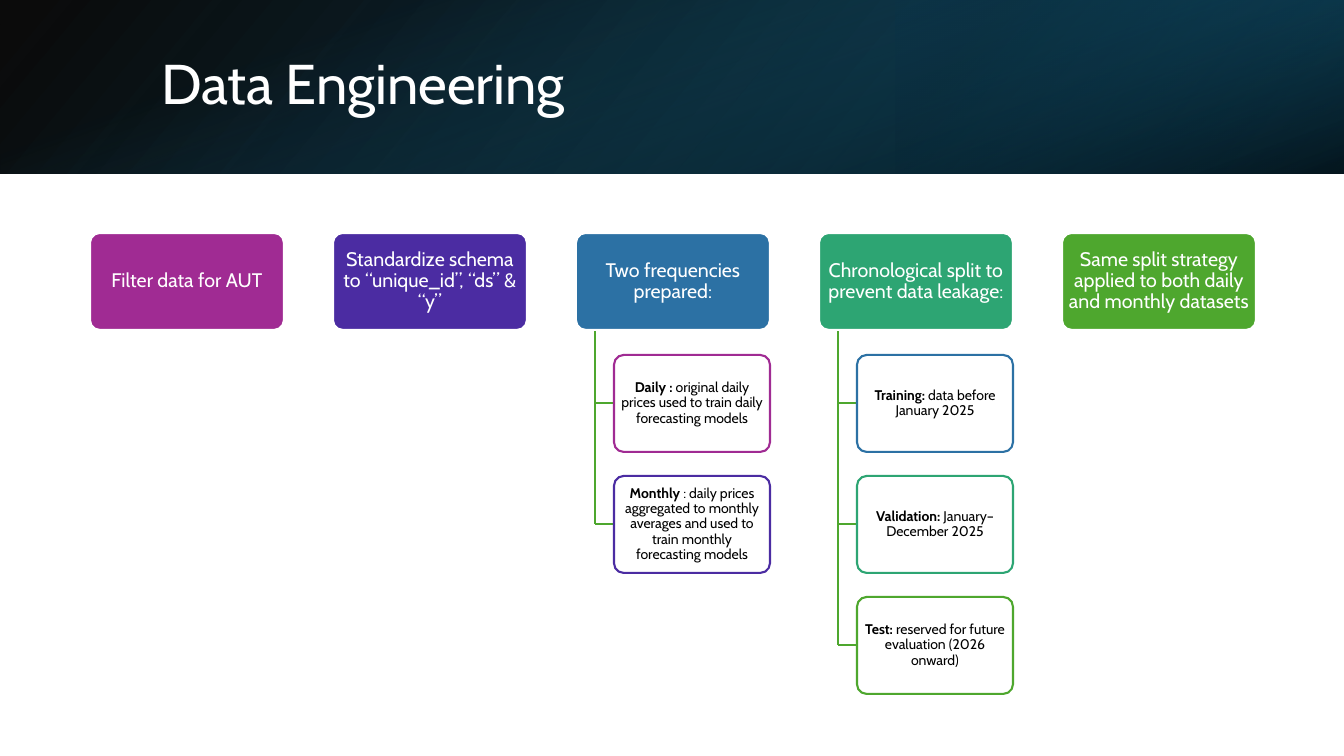
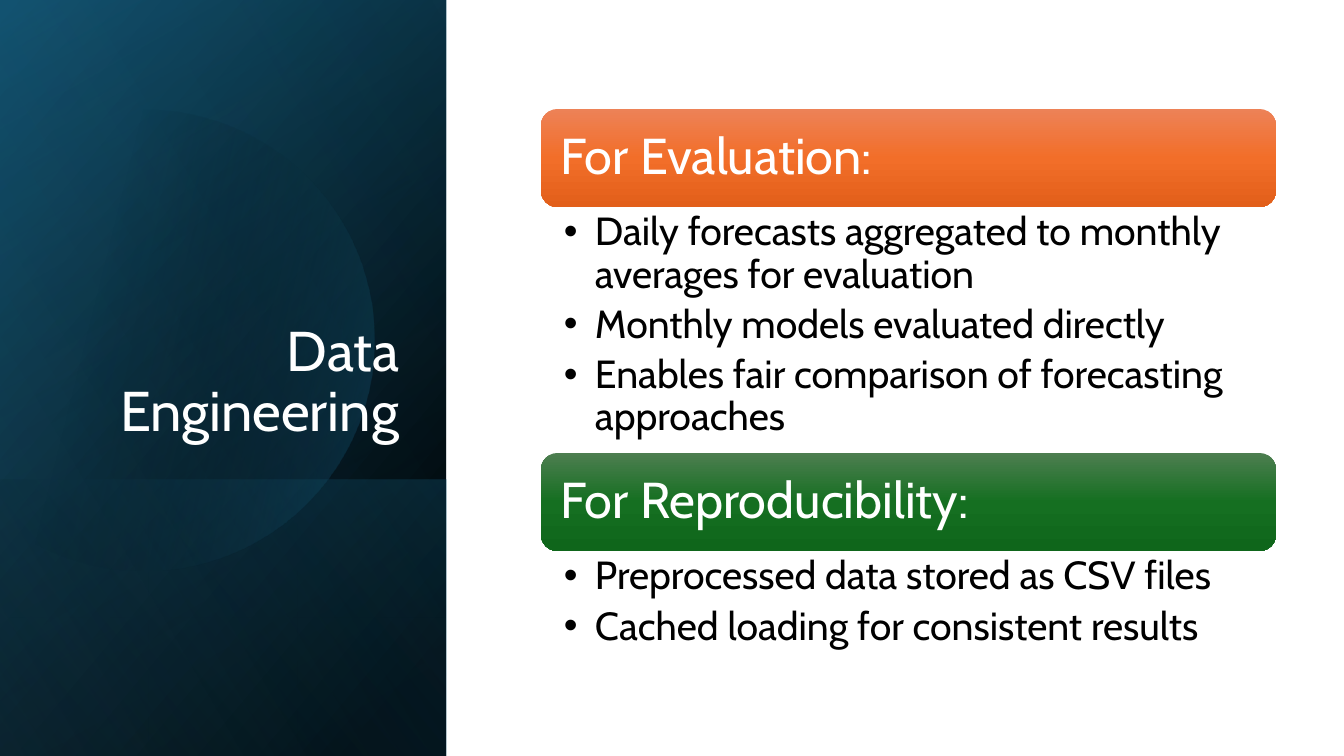
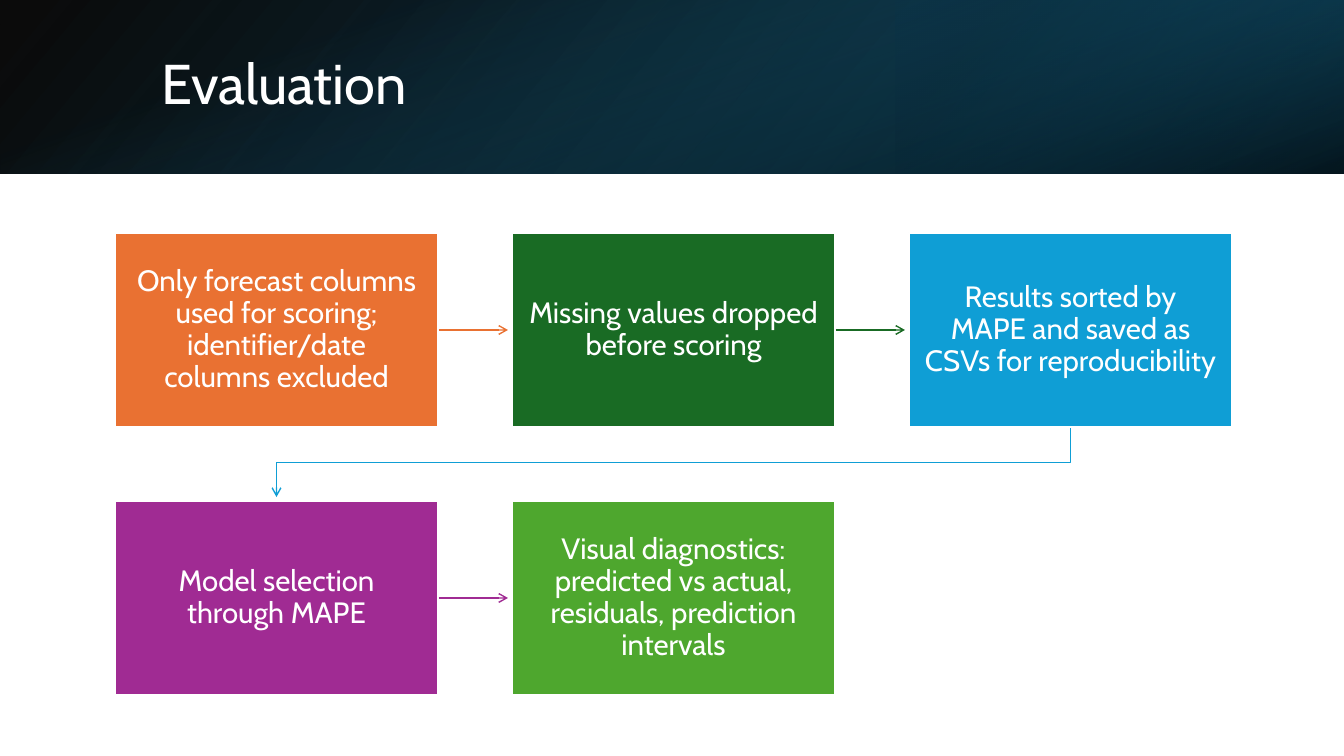
from math import acos, cos, pi, sin

from pptx import Presentation
from pptx.dml.color import RGBColor
from pptx.enum.shapes import MSO_CONNECTOR, MSO_SHAPE
from pptx.enum.text import MSO_ANCHOR, MSO_AUTO_SIZE, PP_ALIGN
from pptx.oxml import parse_xml
from pptx.oxml.ns import nsdecls, qn
from pptx.util import Emu, Pt

FONT = "Cabin"
WHITE, BLACK = "FFFFFF", "000000"
PURPLE, VIOLET, BLUE, TEAL, GREEN = "A02B93", "4B2CA2", "2C71A4", "2DA573", "4EA72E"
ORANGE, FOREST, SKY = "E97132", "196B24", "0F9ED5"
NAVY, OCEAN = "104862", "156082"
SLIDE_WIDTH, SLIDE_HEIGHT = 1344, 756
BAND_HEIGHT, PANEL_WIDTH = 174, 446
TITLE_ONLY, TWO_CONTENT = 5, 3
LINE_SPACING = 0.9


def px(length):
    return Emu(round(length * 914400 / 100.8))


def color(hex_value):
    return RGBColor.from_string(hex_value)


class Deck:
    def __init__(self):
        self.presentation = Presentation()
        self.presentation.slide_width = px(SLIDE_WIDTH)
        self.presentation.slide_height = px(SLIDE_HEIGHT)
        self.slide = None

    def add_slide(self, layout):
        layouts = self.presentation.slide_layouts
        self.slide = self.presentation.slides.add_slide(layouts[layout])

    def send_to_back(self, shape, position):
        self.slide.shapes._spTree.insert(2 + position, shape._element)

    def fill_gradient(self, shape, stops, angle):
        """Stops are (position %, colour, opacity %)."""
        stop_xml = "".join(
            f'<a:gs pos="{position * 1000}"><a:srgbClr val="{hex_value}">'
            f'<a:alpha val="{opacity * 1000}"/></a:srgbClr></a:gs>'
            for position, hex_value, opacity in stops)
        gradient = parse_xml(
            f'<a:gradFill {nsdecls("a")}><a:gsLst>{stop_xml}</a:gsLst>'
            f'<a:lin ang="{angle * 60000}" scaled="0"/></a:gradFill>')
        shape.fill.background()
        properties = shape._element.spPr
        properties.replace(properties.find(qn("a:noFill")), gradient)

    def shape(self, kind, box, fill=None, line=None):
        shape = self.slide.shapes.add_shape(kind, *map(px, box))
        shape.shadow.inherit = False
        if fill:
            shape.fill.solid()
            shape.fill.fore_color.rgb = color(fill)
        if line:
            shape.line.color.rgb = color(line)
            shape.line.width = Pt(1.5)
        else:
            shape.line.fill.background()
        return shape

    def gradient_layer(self, box, stops, angle, rotation=0, flip=True):
        """Box is the visible area; a quarter turn swaps its sides."""
        left, top, width, height = box
        if rotation == 90:
            left, top = left + (width - height) / 2, top + (height - width) / 2
            width, height = height, width
        layer = self.shape(MSO_SHAPE.RECTANGLE, (left, top, width, height))
        layer.rotation = rotation
        if flip:
            layer._element.spPr.xfrm.set("flipH", "1")
        self.fill_gradient(layer, stops, angle)
        return layer

    def clipped_disc(self, center_x, center_y, radius, stops, angle):
        """Disc cut off at the left slide edge."""
        steps = 120
        limit = acos(-center_x / radius)
        turns = [limit * (2 * step / steps - 1) for step in range(steps + 1)]
        points = [(px(center_x + radius * cos(turn)), px(center_y + radius * sin(turn)))
                  for turn in turns]
        builder = self.slide.shapes.build_freeform(*points[0], scale=1.0)
        builder.add_line_segments(points[1:], close=True)
        disc = builder.convert_to_shape()
        disc.shadow.inherit = False
        disc.line.fill.background()
        self.fill_gradient(disc, stops, angle)
        return disc

    def frame(self, shape, margins, anchor):
        text_frame = shape.text_frame
        text_frame.word_wrap = True
        text_frame.auto_size = MSO_AUTO_SIZE.NONE
        text_frame.vertical_anchor = anchor
        (text_frame.margin_left, text_frame.margin_top,
         text_frame.margin_right, text_frame.margin_bottom) = map(px, margins)
        return text_frame

    def format(self, paragraph, size, hex_value, align=PP_ALIGN.LEFT):
        paragraph.alignment = align
        paragraph.line_spacing = LINE_SPACING
        paragraph.space_before = Pt(0)
        for run in paragraph.runs:
            run.font.name = FONT
            run.font.size = Pt(size)
            run.font.color.rgb = color(hex_value)

    def place(self, placeholder, box):
        placeholder.left, placeholder.top, placeholder.width, placeholder.height = map(px, box)

    def title(self, text, box, anchor=MSO_ANCHOR.MIDDLE, align=PP_ALIGN.LEFT):
        title = self.slide.shapes.title
        self.place(title, box)
        text_frame = self.frame(title, (10, 5, 10, 5), anchor)
        text_frame.text = text
        self.format(text_frame.paragraphs[0], 40, WHITE, align)

    def text_box_shape(self, kind, box, text, size, margins, fill, line=WHITE,
                       text_color=WHITE, align=PP_ALIGN.CENTER, label=""):
        """Filled shape with text; the label is a bold lead-in."""
        shape = self.shape(kind, box, fill, line)
        paragraph = self.frame(shape, margins, MSO_ANCHOR.MIDDLE).paragraphs[0]
        if label:
            run = paragraph.add_run()
            run.text = label
            run.font.bold = True
        paragraph.add_run().text = text
        self.format(paragraph, size, text_color, align)
        return shape

    def bullets(self, placeholder, box, items):
        self.place(placeholder, box)
        text_frame = self.frame(placeholder, (23, 5, 28, 5), MSO_ANCHOR.TOP)
        text_frame.text = "\n".join(items)
        for paragraph in text_frame.paragraphs:
            properties = paragraph._p.get_or_add_pPr()
            properties.set("marL", str(px(31)))
            properties.set("indent", str(-px(31)))
            self.format(paragraph, 28, BLACK)
            paragraph.space_after = Pt(5.6)

    def line(self, start, end, hex_value, width, arrow=False, kind=MSO_CONNECTOR.STRAIGHT):
        connector = self.slide.shapes.add_connector(kind, *map(px, start + end))
        connector.line.color.rgb = color(hex_value)
        connector.line.width = Pt(width)
        if arrow:
            connector.line._get_or_add_ln().append(
                parse_xml(f'<a:tailEnd {nsdecls("a")} type="arrow"/>'))
        connector._element.spPr.append(parse_xml(f'<a:effectLst {nsdecls("a")}/>'))
        return connector

    def elbow_down(self, start, end, hex_value, width):
        """Arrow that goes down, across to the left, and down again."""
        middle_x, middle_y = (start[0] + end[0]) / 2, (start[1] + end[1]) / 2
        half_drop, half_run = (end[1] - start[1]) / 2, (start[0] - end[0]) / 2
        connector = self.line((middle_x - half_drop, middle_y - half_run),
                              (middle_x + half_drop, middle_y + half_run),
                              hex_value, width, True, MSO_CONNECTOR.ELBOW)
        connector._element.spPr.find(qn("a:xfrm")).set("rot", str(90 * 60000))

    def band_slide(self, title):
        self.add_slide(TITLE_ONLY)
        band = (0, 0, SLIDE_WIDTH, BAND_HEIGHT)
        layers = [
            self.gradient_layer(band, [(0, BLACK, 96), (100, NAVY, 100)], 140),
            self.gradient_layer((896, 0, 448, BAND_HEIGHT),
                                [(19, "0B3041", 68), (100, OCEAN, 79)], 320, 180),
            self.gradient_layer(band, [(23, OCEAN, 0), (99, BLACK, 74)], 340, 90, False),
        ]
        for position, layer in enumerate(layers):
            self.send_to_back(layer, position)
        self.title(title, (151, 38, 1107, 97))

    def panel_slide(self, title):
        self.add_slide(TWO_CONTENT)
        panel = (0, 0, PANEL_WIDTH, SLIDE_HEIGHT)
        layers = [
            self.gradient_layer(panel, [(8, BLACK, 100), (100, NAVY, 100)], 50, 90),
            self.gradient_layer(panel, [(0, BLACK, 0), (99, OCEAN, 46)], 30, 90),
            self.gradient_layer((0, 480, PANEL_WIDTH, 276),
                                [(2, OCEAN, 29), (100, BLACK, 30)], 130, 90),
            self.clipped_disc(144, 340, 230, [(29, BLACK, 0), (100, OCEAN, 43)], 14),
            self.gradient_layer(panel, [(0, BLACK, 0), (99, "46B1E1", 11)], 120, 90),
        ]
        for position, layer in enumerate(layers):
            self.send_to_back(layer, position)
        self.title(title, (65, 185, 344, 264), MSO_ANCHOR.BOTTOM, PP_ALIGN.RIGHT)


def data_preparation(deck):
    deck.band_slide("Data Engineering")
    steps = [
        ("Filter data for AUT", PURPLE, []),
        ("Standardize schema to “unique_id”, “ds” & “y”", VIOLET, []),
        ("Two frequencies prepared:", BLUE, [
            ("Daily :", " original daily prices used to train daily forecasting models", PURPLE),
            ("Monthly", " : daily prices aggregated to monthly averages and used to train "
                        "monthly forecasting models", VIOLET)]),
        ("Chronological split to prevent data leakage:", TEAL, [
            ("Training:", " data before January 2025", BLUE),
            ("Validation:", " January–December 2025", TEAL),
            ("Test:", " reserved for future evaluation (2026 onward)", GREEN)]),
        ("Same split strategy applied to both daily and monthly datasets", GREEN, []),
    ]
    top, height, row_pitch = 233, 97, 121
    for column, (text, fill, details) in enumerate(steps):
        left = 90 + 243 * column
        trunk, detail_left = left + 19, left + 38
        branch_y = top + height
        for row, (label, detail, outline) in enumerate(details):
            detail_top = 355 + row_pitch * row
            branch_y = detail_top + 48
            deck.line((trunk, branch_y), (detail_left, branch_y), GREEN, 1.5)
            box = deck.text_box_shape(MSO_SHAPE.ROUNDED_RECTANGLE,
                                      (detail_left, detail_top, 156, height), detail, 10,
                                      (2, 1, 2, 1), WHITE, outline, BLACK, label=label)
            box.adjustments[0] = 0.1
        if details:
            deck.line((trunk, top + height), (trunk, branch_y), GREEN, 2)
        box = deck.text_box_shape(MSO_SHAPE.ROUNDED_RECTANGLE, (left, top, 194, height),
                                  text, 14, (3, 2, 3, 2), fill)
        box.adjustments[0] = 0.1


def evaluation_setup(deck):
    deck.panel_slide("Data Engineering")
    sections = [
        ("For Evaluation:", 109, 246, ("ED8257", "F26E29", "E25F1A"), [
            "Daily forecasts aggregated to monthly averages for evaluation",
            "Monthly models evaluated directly",
            "Enables fair comparison of forecasting approaches"]),
        ("For Reproducibility:", 453, 107, ("4D7E50", "156F21", "0F661B"), [
            "Preprocessed data stored as CSV files",
            "Cached loading for consistent results"]),
    ]
    left, width, height = 541, 735, 98
    lists = list(deck.slide.placeholders)[1:]
    for placeholder, (heading, top, list_height, shades, items) in zip(lists, sections):
        bar = deck.text_box_shape(MSO_SHAPE.ROUNDED_RECTANGLE, (left, top, width, height),
                                  heading, 36, (15, 15, 15, 15), None, None,
                                  align=PP_ALIGN.LEFT)
        deck.fill_gradient(bar, [(50 * step, shade, 100) for step, shade in enumerate(shades)], 90)
        deck.bullets(placeholder, (left, top + height, width, list_height), items)


def evaluation_flow(deck):
    deck.band_slide("Evaluation")
    steps = [
        ("Only forecast columns used for scoring; identifier/date columns excluded", ORANGE),
        ("Missing values dropped before scoring", FOREST),
        ("Results sorted by MAPE and saved as CSVs for reproducibility", SKY),
        ("Model selection through MAPE", PURPLE),
        ("Visual diagnostics: predicted vs actual, residuals, prediction intervals", GREEN),
    ]
    columns, width, height = 3, 323, 194
    corners = [(115 + 397 * (index % columns), 233 + 268 * (index // columns))
               for index in range(len(steps))]
    for index, ((text, fill), (left, top)) in enumerate(zip(steps, corners)):
        deck.text_box_shape(MSO_SHAPE.RECTANGLE, (left, top, width, height), text, 21,
                            (16, 16, 16, 16), fill)
        if index + 1 == len(steps):
            continue
        next_left, next_top = corners[index + 1]
        if next_top == top:
            middle = top + height / 2
            deck.line((left + width + 1, middle), (next_left - 4, middle), fill, 1, True)
        else:
            deck.elbow_down((left + width / 2, top + height + 1),
                            (next_left + width / 2, next_top - 4), fill, 1)


def main():
    deck = Deck()
    data_preparation(deck)
    evaluation_setup(deck)
    evaluation_flow(deck)
    deck.presentation.save("out.pptx")


if __name__ == "__main__":
    main()
